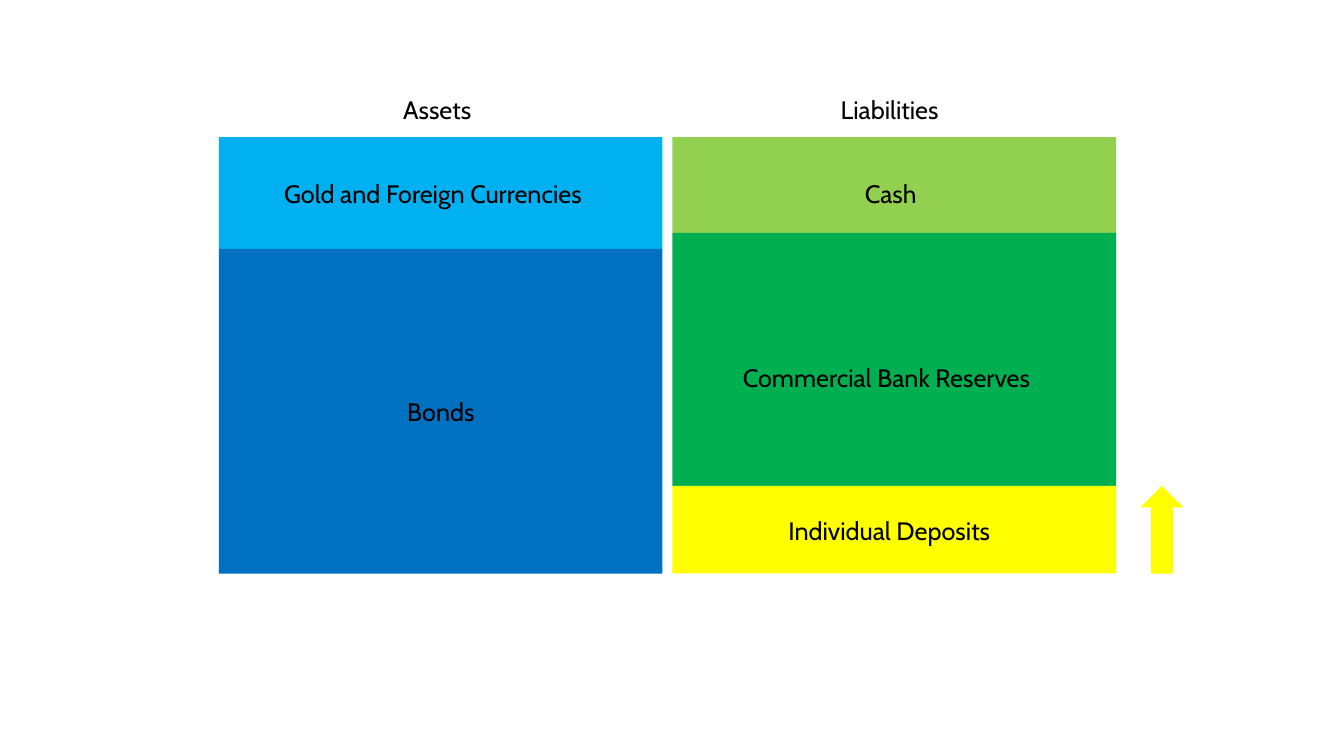
from pptx import Presentation
from pptx.dml.color import RGBColor
from pptx.enum.shapes import MSO_SHAPE
from pptx.enum.text import MSO_AUTO_SIZE
from pptx.util import Inches, Pt

RECTANGLE = MSO_SHAPE.RECTANGLE
UP_ARROW = MSO_SHAPE.UP_ARROW
FIT_TEXT = MSO_AUTO_SIZE.SHAPE_TO_FIT_TEXT

BLACK = RGBColor(0x00, 0x00, 0x00)
LIGHT_BLUE = RGBColor(0x00, 0xB0, 0xF0)
BLUE = RGBColor(0x00, 0x70, 0xC0)
LIGHT_GREEN = RGBColor(0x92, 0xD0, 0x50)
GREEN = RGBColor(0x00, 0xB0, 0x50)
YELLOW = RGBColor(0xFF, 0xFF, 0x00)

BALANCE_TOP = 1.36
COLUMN_WIDTH = 4.4
HEADING_TOP = 0.89
LABEL_HEIGHT = 0.4
DEPOSITS_TOP = 4.82
DEPOSITS_HEIGHT = 0.87

deck = Presentation()
deck.slide_width = Inches(13.33)
deck.slide_height = Inches(7.5)
page = deck.slides.add_slide(deck.slide_layouts[6])


def add_block(kind, left, top, width, height, color):
    block = page.shapes.add_shape(
        kind, Inches(left), Inches(top), Inches(width), Inches(height)
    )
    block.shadow.inherit = False
    block.fill.solid()
    block.fill.fore_color.rgb = color
    block.line.fill.background()


def add_label(text, left, top, width):
    box = page.shapes.add_textbox(
        Inches(left), Inches(top), Inches(width), Inches(LABEL_HEIGHT)
    )
    box.text_frame.word_wrap = False
    box.text_frame.auto_size = FIT_TEXT
    span = box.text_frame.paragraphs[0].add_run()
    span.text = text
    span.font.name = "Cabin"
    span.font.size = Pt(18)
    span.font.color.rgb = BLACK


columns = [
    (2.17, ("Assets", 3.9, 0.94), [
        (1.11, LIGHT_BLUE, "Gold and Foreign Currencies", 2.72, 1.72, 3.3),
        (3.22, BLUE, "Bonds", 3.94, 3.88, 0.9),
    ]),
    (6.67, ("Liabilities", 8.24, 1.25), [
        (0.95, LIGHT_GREEN, "Cash", 8.48, 1.72, 0.77),
        (2.51, GREEN, "Commercial Bank Reserves", 7.27, 3.55, 3.2),
        (DEPOSITS_HEIGHT, YELLOW, "Individual Deposits", 7.72, 5.06, 2.29),
    ]),
]

for column_left, (heading, heading_left, heading_width), entries in columns:
    add_label(heading, heading_left, HEADING_TOP, heading_width)
    block_top = BALANCE_TOP
    for height, color, text, text_left, text_top, text_width in entries:
        add_block(RECTANGLE, column_left, block_top, COLUMN_WIDTH, height, color)
        add_label(text, text_left, text_top, text_width)
        block_top += height

add_block(UP_ARROW, 11.31, DEPOSITS_TOP, 0.43, DEPOSITS_HEIGHT, YELLOW)

deck.save("out.pptx")
